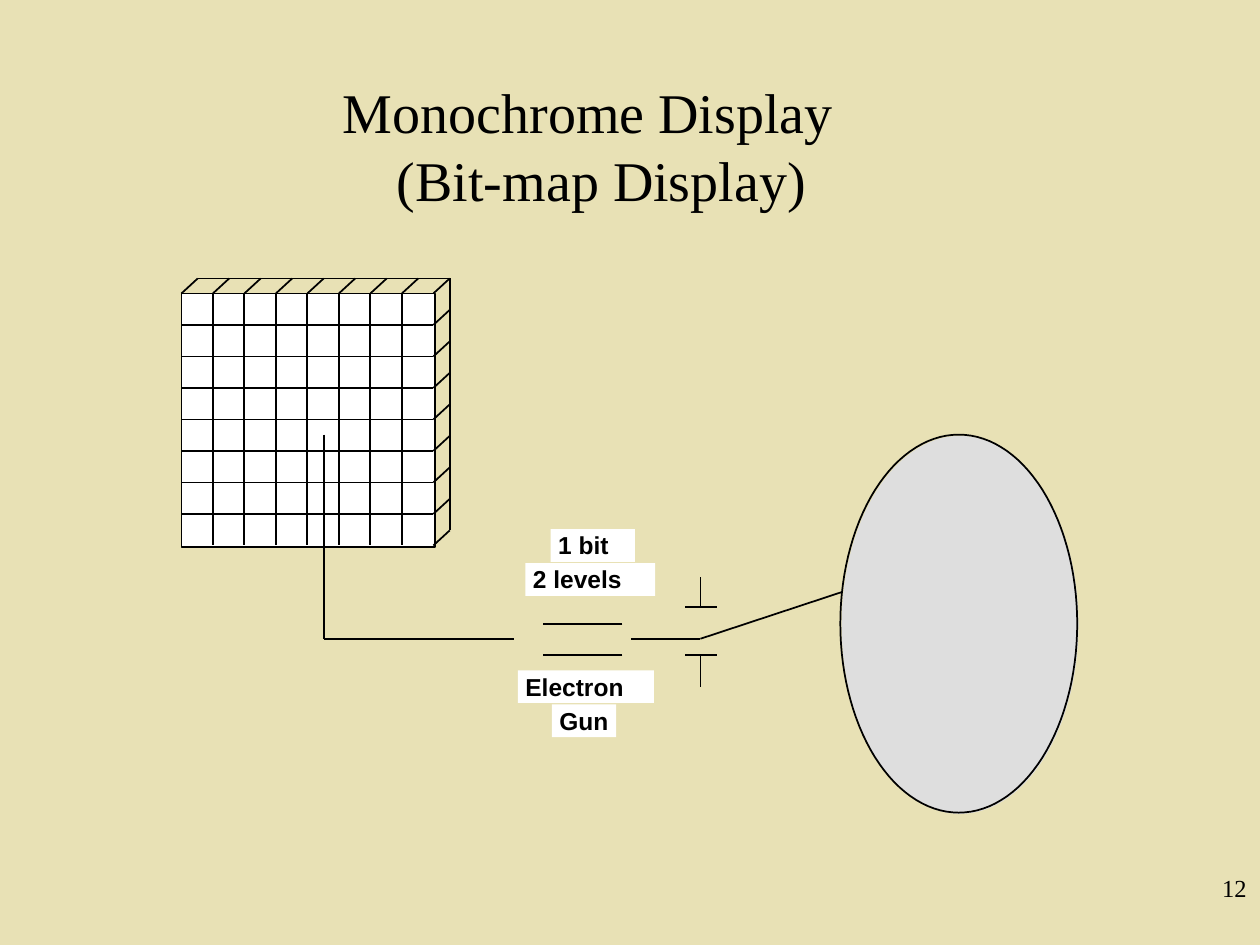
from math import cos, pi, sin

from pptx import Presentation
from pptx.dml.color import RGBColor
from pptx.enum.shapes import MSO_CONNECTOR, MSO_SHAPE
from pptx.enum.text import MSO_ANCHOR, MSO_AUTO_SIZE, PP_ALIGN
from pptx.oxml.xmlchemy import OxmlElement
from pptx.util import Inches, Pt

STRAIGHT = MSO_CONNECTOR.STRAIGHT
RECTANGLE = MSO_SHAPE.RECTANGLE
TOP, LEFT, NO_FIT = MSO_ANCHOR.TOP, PP_ALIGN.LEFT, MSO_AUTO_SIZE.NONE

COLORS = {
    name: RGBColor.from_string(code)
    for name, code in {
        "background": "E8E1B5",
        "ink": "000000",
        "panel": "FFFFFF",
        "screen": "DEDEDE",
    }.items()
}


def draw_outline(paths, fill=None):
    scaled = [[(Inches(x), Inches(y)) for x, y in path] for path in paths]
    builder = slide.shapes.build_freeform(*scaled[0][0])
    for index, (start, *others) in enumerate(scaled):
        if index:
            builder.move_to(*start)
        builder.add_line_segments(others, close=len(others) > 1)
    outline = builder.convert_to_shape()
    outline.shadow.inherit = False
    if fill:
        outline.fill.solid()
        outline.fill.fore_color.rgb = COLORS[fill]
        outline.line.fill.background()
    else:
        outline.fill.background()
        outline.line.color.rgb = COLORS["ink"]
        outline.line.width = Pt(1)
    return outline


def write_text(box, lines, font, size, bold, margin_top, left, hanging, spacing):
    frame = box.text_frame
    frame.word_wrap = True
    frame.auto_size = NO_FIT
    frame.vertical_anchor = TOP
    frame.margin_left = frame.margin_right = frame.margin_bottom = 0
    frame.margin_top = Inches(margin_top)
    paragraph = frame.paragraphs[0]
    paragraph.alignment = LEFT
    paragraph.line_spacing = spacing
    properties = paragraph._p.get_or_add_pPr()
    properties.set("marL", str(Inches(left)))
    properties.set("indent", str(Inches(hanging)))
    for index, line in enumerate(lines):
        if index:
            paragraph.add_line_break()
        run = paragraph.add_run()
        run.text = line
        run.font.name = font
        run.font.size = Pt(size)
        run.font.bold = bold
        run.font.color.rgb = COLORS["ink"]


prs = Presentation()
prs.slide_width = Inches(10)
prs.slide_height = Inches(7.5)
slide = prs.slides.add_slide(prs.slide_layouts[5])

backdrop = draw_outline([[(10, 0), (0, 0), (0, 7.5), (10, 7.5)]], "background")
slide.shapes._spTree.insert(2, backdrop._element)

title = slide.shapes.title
title.left, title.top = Inches(2.7), Inches(0.52)
title.width, title.height = Inches(3.92), Inches(1.01)
write_text(title, ["Monochrome Display", "(Bit-map Display)"],
           "Times New Roman", 32, False, 0.09, 0.45, -0.43, 1.01)

plate_x, beam_y = 5.56, 5.07
draw_outline([[(plate_x, 5.45), (plate_x, 5.2)], [(5.44, 5.2), (5.69, 5.2)]])

grid_left, grid_top, cell, cells = 1.44, 2.33, 0.25, 8
depth_x, depth_y, face = 0.13, 0.12, 2.01
grid_right = grid_left + cells * cell
grid_bottom = grid_top + cells * cell
back_top, back_right = grid_top - depth_y, grid_right + depth_x

front = [(grid_left, grid_top), (grid_left + face, grid_top),
         (grid_left + face, grid_top + face), (grid_left, grid_top + face)]
draw_outline([front], "panel")

columns = [grid_left + step * cell for step in range(cells + 1)]
rows = [grid_top + step * cell for step in range(cells + 1)]
grid_lines = [front]
grid_lines += [[(grid_left, y), (grid_right, y)] for y in rows[1:-1]]
grid_lines += [[(x, grid_top), (x, grid_bottom)] for x in columns[1:-1]]
grid_lines += [[(x, grid_top), (x + depth_x, back_top)] for x in columns]
grid_lines += [[(grid_right, y), (back_right, y - depth_y)] for y in rows[1:]]
grid_lines += [
    [(grid_left + depth_x, back_top), (back_right, back_top)],
    [(back_right, back_top), (back_right, grid_bottom - depth_y)],
    [(2.57, 3.45), (2.57, beam_y)],
]
draw_outline(grid_lines)

draw_outline([[(4.94, y), (4.31, y)] for y in (4.95, 5.2)])

beam = slide.shapes.add_connector(
    STRAIGHT, Inches(2.57), Inches(beam_y), Inches(4.08), Inches(beam_y))
beam.line.color.rgb = COLORS["ink"]
beam.line.width = Pt(1)
beam._element.spPr.append(OxmlElement("a:effectLst"))

angles = [2 * pi * step / 120 for step in range(120)]
screen_fill, screen_edge = [
    [(x + 0.94 * cos(angle), y - 1.5 * sin(angle)) for angle in angles]
    for x, y in ((7.62, 4.96), (7.61, 4.95))
]
draw_outline([screen_fill], "screen")
draw_outline([
    screen_edge,
    [(plate_x, 4.58), (plate_x, 4.82)],
    [(5.44, 4.82), (5.69, 4.82)],
    [(plate_x, beam_y), (6.68, 4.7)],
    [(plate_x, beam_y), (5.01, beam_y)],
])

for words, left, top, width in (
    ("Electron", 4.11, 5.32, 1.08),
    ("Gun", 4.38, 5.59, 0.51),
    ("1 bit", 4.37, 4.2, 0.67),
    ("2 levels", 4.17, 4.47, 1.03),
):
    label = slide.shapes.add_shape(
        RECTANGLE, Inches(left), Inches(top), Inches(width), Inches(0.26))
    label.shadow.inherit = False
    label.fill.solid()
    label.fill.fore_color.rgb = COLORS["panel"]
    label.line.fill.background()
    write_text(label, [words], "Arial", 14, True, 0.01, 0.06, 0, 1.0)

page_number = slide.shapes.add_textbox(
    Inches(9.66), Inches(6.89), Inches(0.28), Inches(0.24))
write_text(page_number, ["12"], "Times New Roman", 14, False, 0, 0.04, 0, 1.16)

prs.save("out.pptx")
